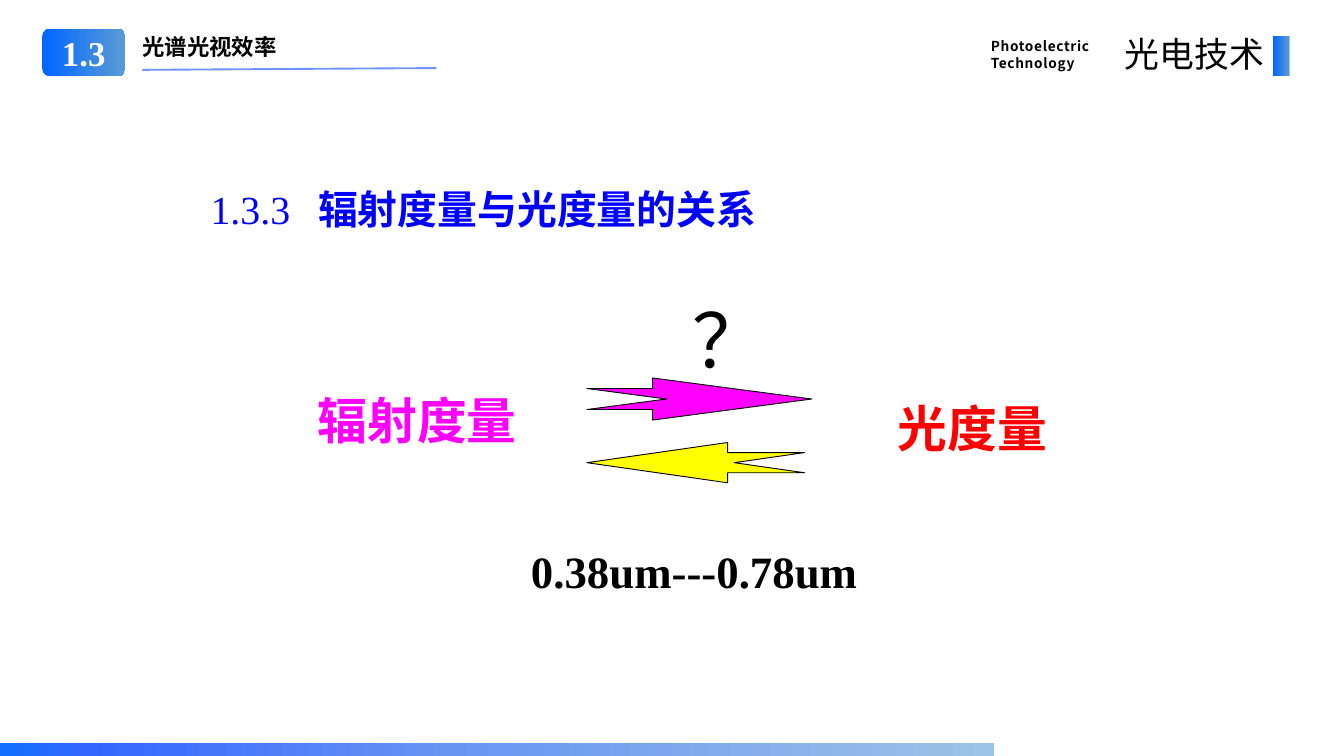
from lxml.etree import SubElement
from pptx import Presentation
from pptx.dml.color import RGBColor
from pptx.enum.shapes import MSO_CONNECTOR, MSO_SHAPE
from pptx.enum.text import MSO_ANCHOR, PP_ALIGN
from pptx.oxml.ns import qn
from pptx.util import Inches, Pt

THEME = {
    "sans": "Noto Sans CJK SC", "serif": "Times New Roman", "symbol": "Arial",
    "black": "000000", "white": "FFFFFF", "blue": "0000FF", "rule": "3366FF",
    "magenta": "FF00FF", "yellow": "FFFF00", "red": "FF0000",
    "accent": [(0, "0066FF"), (100, "5B9BD5")],
    "footer": [(0, "1271FE"), (9, "3366FF"), (45, "6895F3"), (100, "9DC3E6")],
    "caption": 11, "title": 18, "label": 28, "heading": 32,
    "range": 36, "quantity": 40, "question": 60,
}
LEFT, CENTER, RIGHT = PP_ALIGN.LEFT, PP_ALIGN.CENTER, PP_ALIGN.RIGHT

BLOCKS = [
    (MSO_SHAPE.RECTANGLE, (14.21, 0.4, 0.18, 0.45), "accent", None),
    (MSO_SHAPE.ROUNDED_RECTANGLE, (0.47, 0.32, 0.93, 0.53), "accent", "1.3"),
    (MSO_SHAPE.RECTANGLE, (0, 8.3, 11.09, 0.14), "footer", None),
]
TEXTS = [
    (["光谱光视效率"], (1.49, 0.32, 3.5, 0.4), ("title", "sans", "black", True), LEFT, {}),
    (["Photoelectric", "Technology"], (10.96, 0.36, 1.58, 0.49),
     ("caption", "sans", "black", True), LEFT, {"tracking": 50, "leading": 14}),
    (["光电技术"], (12.31, 0.32, 1.9, 0.57), ("label", "sans", "black", False), RIGHT,
     {"tracking": 20}),
    (["辐射度量"], (3.12, 4.3, 3.07, 0.77), ("quantity", "sans", "magenta", True), CENTER, {}),
    (["光度量"], (9.68, 4.39, 2.34, 0.77), ("quantity", "sans", "red", True), CENTER, {}),
    (["0.38um---0.78um"], (5.65, 6.02, 4.19, 0.7), ("range", "serif", "black", True), CENTER, {}),
    (["？"], (7.73, 3.28, 0.63, 1), ("question", "symbol", "black", False), LEFT, {"inset": 0}),
]
HEADING = [
    ("1.3.3\t", ("heading", "serif", "blue", False)),
    ("辐射度量与光度量的关系", ("heading", "sans", "blue", True)),
]
HEADING_PLACE, HEADING_INSET, HEADING_TAB = (2.19, 2.01, 6.43, 0.64), 0.16, 1.2
ARROWS = [
    ((6.55, 4.22, 2.51, 0.47), 3.78, "magenta", 0),
    ((6.55, 4.94, 2.43, 0.45), 3.49, "yellow", 180),
]
TITLE_RULE = (1.59, 0.78, 4.87, 0.76)


def inches(values):
    return [Inches(value) for value in values]


def color(name):
    return RGBColor.from_string(THEME[name])


def style(font, look, tracking=None):
    size, face, ink, bold = look
    font.size, font.name, font.bold = Pt(THEME[size]), THEME[face], bold
    font.color.rgb = color(ink)
    SubElement(font._rPr, qn("a:ea"), typeface=THEME[face])
    if tracking:
        font._rPr.set("spc", str(tracking))


def add_box(page, place):
    frame = page.shapes.add_textbox(*inches(place)).text_frame
    frame.word_wrap = True
    return frame


def add_text(page, lines, place, look, align, options):
    frame = add_box(page, place)
    if "inset" in options:
        frame.margin_left = frame.margin_right = Inches(options["inset"])
        frame.margin_top = frame.margin_bottom = Inches(options["inset"])
    for index, line in enumerate(lines):
        para = frame.add_paragraph() if index else frame.paragraphs[0]
        para.text, para.alignment = line, align
        if "leading" in options:
            para.line_spacing = Pt(options["leading"])
        style(para.font, look, options.get("tracking"))


def add_heading(page):
    frame = add_box(page, HEADING_PLACE)
    frame.margin_left = Inches(HEADING_INSET)
    frame.vertical_anchor = MSO_ANCHOR.MIDDLE
    para = frame.paragraphs[0]
    para.alignment = LEFT
    tabs = SubElement(para._p.get_or_add_pPr(), qn("a:tabLst"))
    SubElement(tabs, qn("a:tab"), pos=str(Inches(HEADING_TAB)), algn="l")
    for words, look in HEADING:
        span = para.add_run()
        span.text = words
        style(span.font, look)


def fill_gradient(shape, stops):
    shape.fill.gradient()
    shape.fill.gradient_angle = 0
    stop_list = shape._element.spPr.find(".//" + qn("a:gsLst"))
    for old in list(stop_list):
        stop_list.remove(old)
    for position, tone in stops:
        stop = SubElement(stop_list, qn("a:gs"), pos=str(position * 1000))
        SubElement(stop, qn("a:srgbClr"), val=tone)


def add_block(page, kind, place, gradient, label):
    shape = page.shapes.add_shape(kind, *inches(place))
    shape.shadow.inherit = False
    shape.line.fill.background()
    fill_gradient(shape, THEME[gradient])
    if label:
        frame = shape.text_frame
        frame.vertical_anchor = MSO_ANCHOR.MIDDLE
        para = frame.paragraphs[0]
        para.text, para.alignment = label, CENTER
        style(para.font, ("label", "serif", "white", True))


def add_arrow(page, place, head_ratio, tone, rotation):
    arrow = page.shapes.add_shape(MSO_SHAPE.NOTCHED_RIGHT_ARROW, *inches(place))
    arrow.shadow.inherit = False
    arrow.adjustments[0], arrow.adjustments[1] = 0.5, head_ratio
    arrow.rotation = rotation
    arrow.fill.solid()
    arrow.fill.fore_color.rgb = color(tone)
    arrow.line.color.rgb = color("black")
    arrow.line.width = Pt(0.75)


def add_rule(page):
    rule = page.shapes.add_connector(MSO_CONNECTOR.STRAIGHT, *inches(TITLE_RULE))
    rule.line.color.rgb = color("rule")
    rule.line.width = Pt(1.5)
    properties = rule._element.spPr
    SubElement(properties.find(".//" + qn("a:srgbClr")), qn("a:alpha"), val="70000")
    SubElement(properties, qn("a:effectLst"))


def main():
    deck = Presentation()
    deck.slide_width, deck.slide_height = Inches(15), Inches(8.44)
    page = deck.slides.add_slide(deck.slide_layouts[6])
    for block in BLOCKS:
        add_block(page, *block)
    add_rule(page)
    add_heading(page)
    for arrow in ARROWS:
        add_arrow(page, *arrow)
    for text in TEXTS:
        add_text(page, *text)
    deck.save("out.pptx")


if __name__ == "__main__":
    main()
